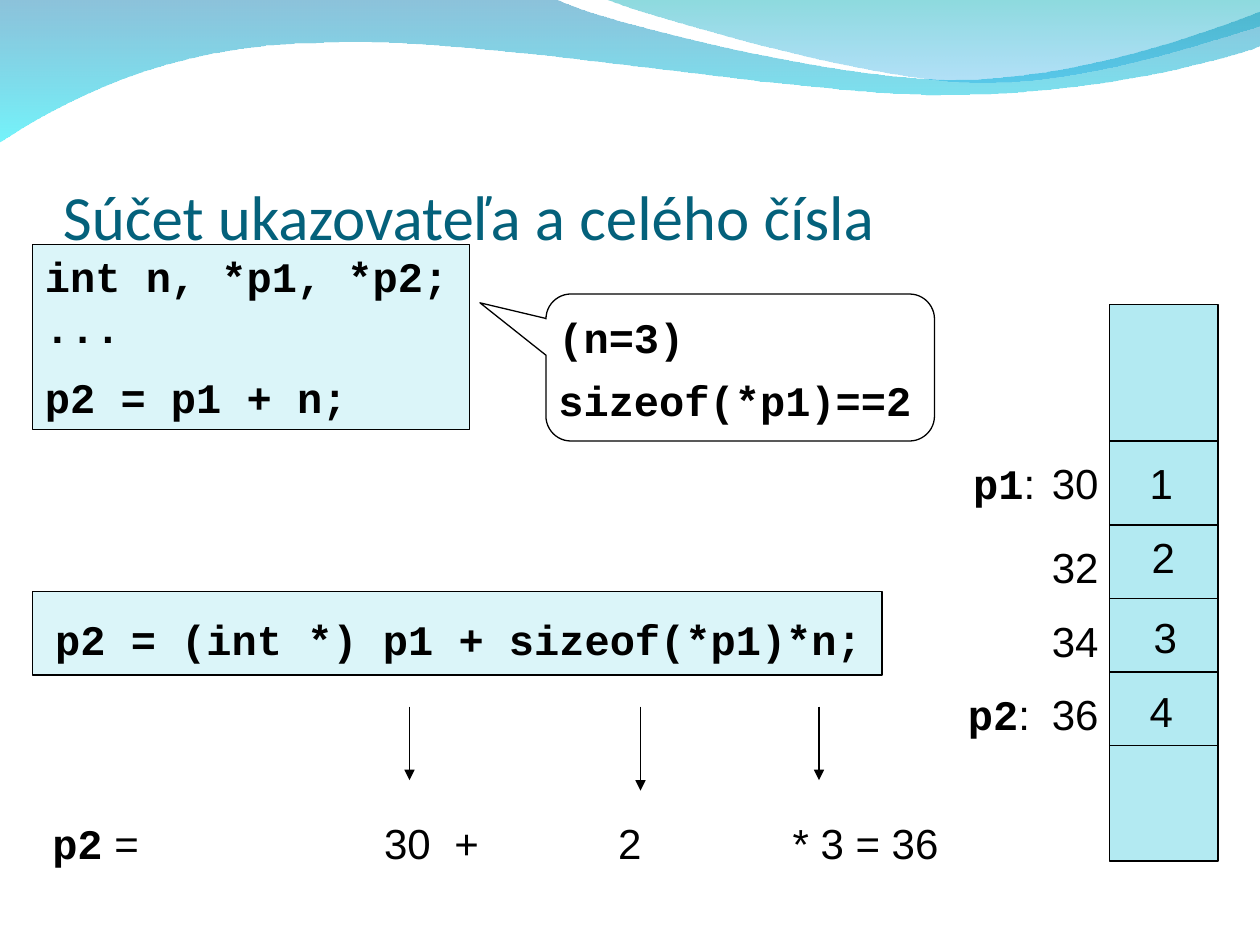
from dataclasses import dataclass

from lxml.etree import SubElement
from pptx import Presentation
from pptx.dml.color import RGBColor
from pptx.enum.shapes import MSO_CONNECTOR, MSO_SHAPE
from pptx.enum.text import MSO_ANCHOR, PP_ALIGN
from pptx.oxml.ns import qn
from pptx.util import Inches, Pt


@dataclass(frozen=True)
class Theme:
    title: str = "04617B"
    ink: str = "000000"
    paper: str = "FFFFFF"
    code_fill: str = "DBF5F9"
    memory_fill: str = "B3EAF2"
    heading: str = "Calibri"
    code: str = "Courier New"
    body: str = "Arial"
    title_size: int = 36
    text_size: int = 24
    line_width: float = 0.75


THEME = Theme()
COLUMNS, ROWS = 120, 90
CELL = Inches(10) / COLUMNS

TITLE = "Súčet ukazovateľa a celého čísla"
DECLARATION = ["int n, *p1, *p2;", "...", "p2 = p1 + n;"]
EXPRESSION = ["p2 = (int *) p1 + sizeof(*p1)*n;"]
CALLOUT_LINES = [("(n=3)", 29.05), ("sizeof(*p1)==2", 35.05)]
RESULT = ("p2", " =\t30\t+\t2\t* 3 = 36")
RESULT_TABS = [31.6, 38.3, 53.9, 70.5]
ARROWS = [(39, 74.3), (61, 75.3), (78, 74.3)]  # column, row of the head
ARROW_START = 67.3

# Memory rows: top row, address, value, column and row of the value
MEMORY = [
    (42, "30", "1", 108.3, 43),
    (50, "32", "2", 108.5, 50),
    (57, "34", "3", 108.7, 57.65),
    (64, "36", "4", 108.3, 64.7),
]
MEMORY_END = 71
MEMORY_BOX = (105.7, 29, 10.3, 53)
POINTERS = [("p1", 91.5, 43), ("p2", 91, 65)]

# Waves in inches: each step is a line end (2 numbers) or a Bézier curve (6 numbers)
WAVES = [
    ([(0, -0.01), (4.4, -0.01), (4.76, 0.17, 6.64, 0.63, 7.58, 0.63),
      (8.53, 0.63, 9.58, 0.26, 10, 0.09), (10.01, 0.36),
      (9.83, 0.44, 8.7, 0.76, 7.46, 0.75), (6.22, 0.75, 3.82, 0.28, 2.57, 0.34),
      (1.29, 0.35, 0.46, 0.83, -0.01, 1.13)],
     [("0079AF", 45), ("00EBF8", 55)]),
    ([(4.79, -0.01), (5.09, 0.11, 6.82, 0.62, 7.69, 0.65),
      (8.56, 0.69, 9.61, 0.32, 10, 0.21), (10, 0)],
     [("00ADB6", 45), ("009BE5", 30)]),
]


def grid(*cells):
    return [round(cell * CELL) for cell in cells]


def color(code):
    return RGBColor.from_string(code)


def bend(wave, steps):
    """Turn the straight segments of a freeform into the curves among its steps."""
    segments = list(wave._element.spPr.iter(qn("a:lnTo")))
    for segment, step in zip(segments, steps[1:]):
        if len(step) == 2:
            continue
        segment.tag = qn("a:cubicBezTo")
        for child in list(segment):
            segment.remove(child)
        for x, y in zip(step[::2], step[1::2]):
            SubElement(segment, qn("a:pt"), x=str(Inches(x) - wave.left),
                       y=str(Inches(y) - wave.top))


def add_wave(page, steps, stops):
    points = [(Inches(step[-2]), Inches(step[-1])) for step in steps]
    builder = page.shapes.build_freeform(*points[0])
    builder.add_line_segments(points[1:], close=True)
    wave = builder.convert_to_shape()
    bend(wave, steps)
    wave.shadow.inherit = False
    wave.line.fill.background()
    wave.fill.gradient()
    wave.fill.gradient_angle = 270
    for stop, (code, opacity) in zip(wave.fill.gradient_stops, stops):
        stop.color.rgb = color(code)
    for tag, (code, opacity) in zip(wave._element.spPr.iter(qn("a:srgbClr")), stops):
        SubElement(tag, qn("a:alpha"), val=str(opacity * 1000))


def add_box(page, kind, place, fill):
    box = page.shapes.add_shape(kind, *grid(*place))
    box.shadow.inherit = False
    box.fill.solid()
    box.fill.fore_color.rgb = color(fill)
    box.line.color.rgb = color(THEME.ink)
    box.line.width = Pt(THEME.line_width)
    return box


def set_font(font, name, size=THEME.text_size, ink=THEME.ink):
    font.name, font.size, font.bold = name, Pt(size), name == THEME.code
    font.color.rgb = color(ink)


def write(box, lines, name, insets=(0.1, 0.05), **style):
    frame = box.text_frame
    frame.word_wrap = True
    frame.vertical_anchor = MSO_ANCHOR.TOP
    frame.margin_left, frame.margin_top = map(Inches, insets)
    frame.margin_right = 0
    frame.text = "\n".join(lines)
    for para in frame.paragraphs:
        para.alignment = PP_ALIGN.LEFT
        set_font(para.font, name, **style)
    return frame


def add_text(page, place, text, name, **style):
    return write(page.shapes.add_textbox(*grid(*place)), [text], name, **style)


def add_pair(page, place, code, rest, tabs=()):
    """Add a code word followed by plain text, with optional tab stops."""
    para = add_text(page, place, "", THEME.body).paragraphs[0]
    if tabs:
        tab_list = SubElement(para._p.get_or_add_pPr(), qn("a:tabLst"))
        para._p.pPr.insert(0, tab_list)
        for tab in grid(*tabs):
            SubElement(tab_list, qn("a:tab"), pos=str(tab), algn="l")
    for text, name in ((code, THEME.code), (rest, THEME.body)):
        span = para.add_run()
        span.text = text
        set_font(span.font, name)


def add_line(page, *ends, arrow=False):
    line = page.shapes.add_connector(MSO_CONNECTOR.STRAIGHT, *grid(*ends))
    line.line.color.rgb = color(THEME.ink)
    line.line.width = Pt(THEME.line_width)
    if arrow:
        SubElement(line.line._get_or_add_ln(), qn("a:tailEnd"), type="triangle")
    SubElement(line._element.spPr, qn("a:effectLst"))


def add_memory(page):
    add_box(page, MSO_SHAPE.RECTANGLE, MEMORY_BOX, THEME.memory_fill)
    left, right = MEMORY_BOX[0], MEMORY_BOX[0] + MEMORY_BOX[2]
    for row in [entry[0] for entry in MEMORY] + [MEMORY_END]:
        add_line(page, left, row, right, row)
    for row, address, value, value_column, value_row in MEMORY:
        add_text(page, (99, row + 1, 9, 6), address, THEME.body)
        add_text(page, (value_column, value_row, 5, 6), value, THEME.body)
    for name, column, row in POINTERS:
        add_pair(page, (column, row, 11, 6), name, ":")


def main():
    deck = Presentation()
    deck.slide_width, deck.slide_height = grid(COLUMNS, ROWS)
    page = deck.slides.add_slide(deck.slide_layouts[6])
    page.background.fill.solid()
    page.background.fill.fore_color.rgb = color(THEME.paper)
    for steps, stops in WAVES:
        add_wave(page, steps, stops)

    callout = add_box(page, MSO_SHAPE.ROUNDED_RECTANGULAR_CALLOUT, (52, 28, 37, 14), THEME.paper)
    for index, value in enumerate((-0.67, -0.44, 0.17)):
        callout.adjustments[index] = value
    for text, row in CALLOUT_LINES:
        add_text(page, (52, row, 36, 6), text, THEME.code)

    title = add_text(page, (6, 9.7, 108, 15), TITLE, THEME.heading,
                     insets=(0, 0.05), size=THEME.title_size, ink=THEME.title)
    title.vertical_anchor = MSO_ANCHOR.BOTTOM

    declaration = add_box(page, MSO_SHAPE.RECTANGLE, (3.1, 23.3, 41.6, 17.6), THEME.code_fill)
    write(declaration, DECLARATION, THEME.code).paragraphs[-1].space_before = Pt(11.5)
    expression = add_box(page, MSO_SHAPE.RECTANGLE, (3.1, 56.3, 80.9, 8), THEME.code_fill)
    write(expression, EXPRESSION, THEME.code, insets=(0.18, 0.18))

    add_pair(page, (3.8, 77.3, 87, 6), *RESULT, tabs=RESULT_TABS)
    for column, end in ARROWS:
        add_line(page, column, ARROW_START, column, end, arrow=True)
    add_memory(page)
    deck.save("out.pptx")


if __name__ == "__main__":
    main()
